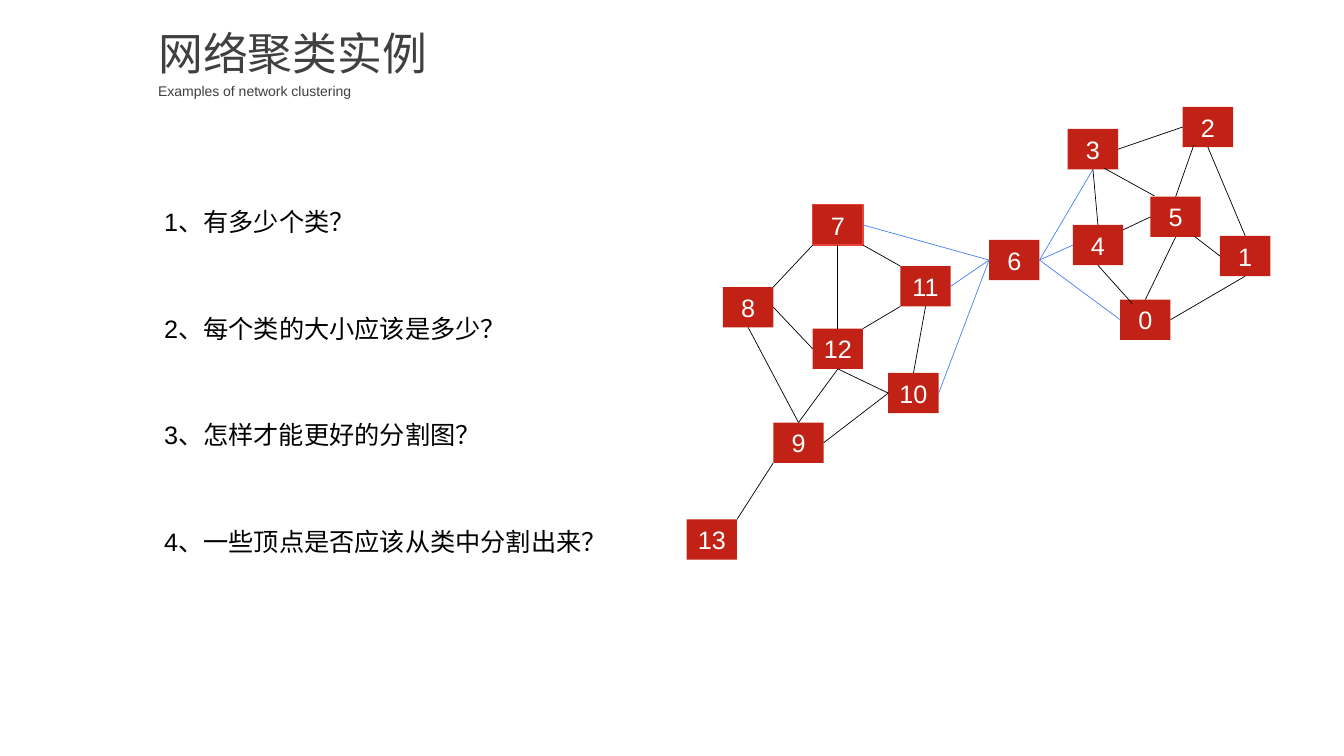
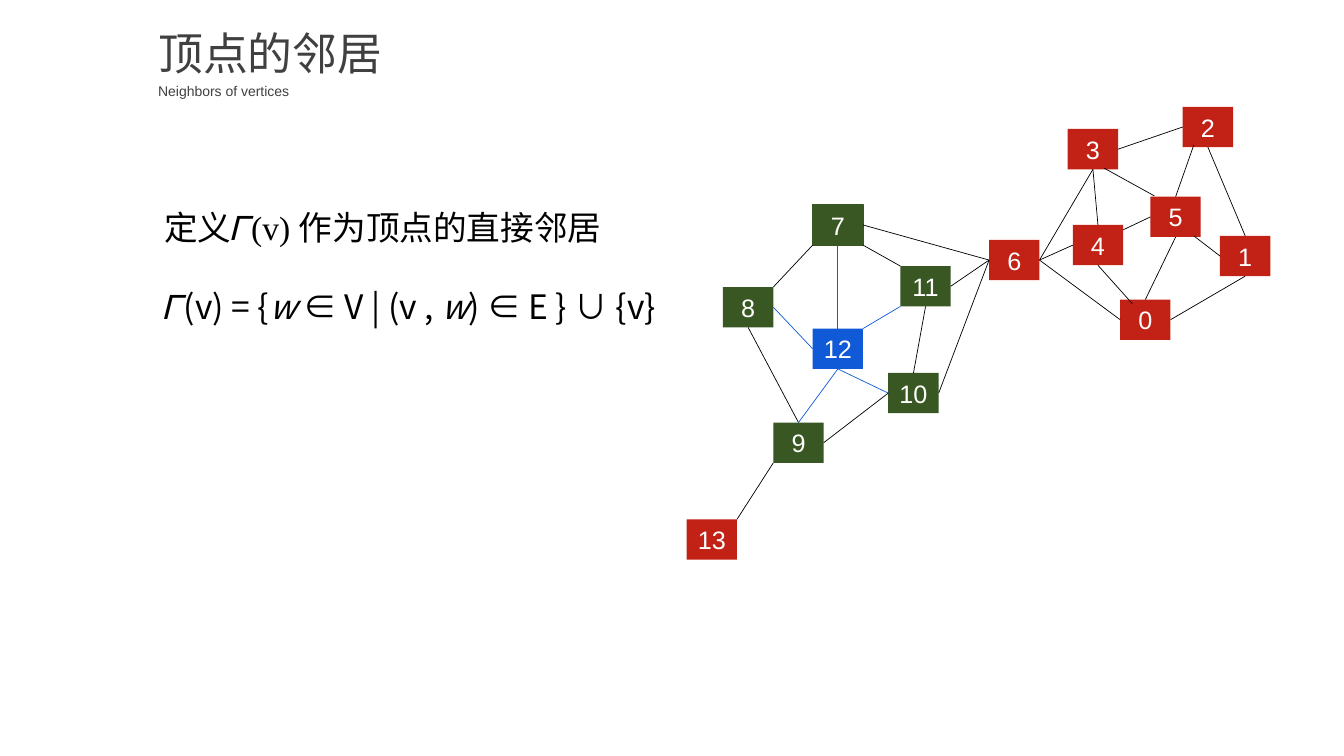
"""Build two slides on clustering the vertices of a small network."""
from dataclasses import dataclass, field
from typing import Any, NamedTuple

from lxml.etree import SubElement
from pptx import Presentation
from pptx.dml.color import RGBColor
from pptx.enum.shapes import MSO_CONNECTOR, MSO_SHAPE
from pptx.enum.text import MSO_ANCHOR as Anchor, MSO_AUTO_SIZE as AutoSize, PP_ALIGN as Align
from pptx.oxml.ns import qn
from pptx.util import Emu, Inches, Pt


@dataclass(frozen=True)
class Theme:
    heading: str = "404040"
    ink: str = "000000"
    paper: str = "FFFFFF"
    vertex: str = "C22115"
    outline: str = "E94236"
    bridge: str = "4384F1"
    centre: str = "105AD7"
    neighbour: str = "385723"
    font: str = "Arial"
    serif: str = "Times New Roman"
    chinese: str = "Noto Sans CJK SC"
    title_size: float = 32
    subtitle_size: float = 10
    body_size: float = 18
    formula_size: float = 24
    edge_width: float = 0.5
    outline_width: float = 1


class Box(NamedTuple):
    column: float
    row: float
    columns: float = 1
    rows: float = 1


class Port(NamedTuple):
    across: float
    down: float
    site: int | None = None


class Edge(NamedTuple):
    start: int
    start_port: Port
    end: int
    end_port: Port


class Run(NamedTuple):
    text: str
    font: str
    italic: bool | None = None


@dataclass(frozen=True)
class NetworkStyle:
    hub: int
    hub_fill: str
    edge_colour: str
    neighbour_fill: str
    outline: str
    fills: dict[int, str] = field(default_factory=dict)


THEME = Theme()
COLUMN, ROW = Inches(0.5), Inches(0.4)
TITLE = Box(2.94, 0.5, 7.04, 1.6)
SUBTITLE = Box(2.94, 1.83, 8.68, 0.72)
BODY_COLUMN, BODY_ROW, QUESTION_STEP = 3.06, 5, 2.64
OUTLINED_VERTEX = 7

TOP, LEFT = Port(0.5, 0, 0), Port(0, 0.5, 1)
BOTTOM, RIGHT = Port(0.5, 1, 2), Port(1, 0.5, 3)
TOP_LEFT, TOP_RIGHT = Port(0, 0), Port(1, 0)
BOTTOM_LEFT, BOTTOM_RIGHT = Port(0, 1), Port(1, 1)

VERTICES = {
    7: Box(16.12, 5.08), 8: Box(14.34, 7.12), 11: Box(17.86, 6.6),
    12: Box(16.12, 8.15), 9: Box(15.34, 10.48), 10: Box(17.62, 9.25),
    13: Box(13.62, 12.88), 6: Box(19.62, 5.95), 3: Box(21.18, 3.2),
    4: Box(21.28, 5.58), 0: Box(22.22, 7.43), 5: Box(22.82, 4.88),
    2: Box(23.46, 2.65), 1: Box(24.2, 5.85),
}
EDGES = [
    Edge(8, BOTTOM, 9, TOP),
    Edge(9, BOTTOM_LEFT, 13, TOP_RIGHT),
    Edge(7, BOTTOM, 12, TOP),
    Edge(7, BOTTOM_RIGHT, 11, TOP_LEFT),
    Edge(11, BOTTOM_LEFT, 12, TOP_RIGHT),
    Edge(11, BOTTOM, 10, TOP),
    Edge(12, LEFT, 8, RIGHT),
    Edge(7, BOTTOM_LEFT, 8, TOP_RIGHT),
    Edge(12, BOTTOM, 9, TOP),
    Edge(12, BOTTOM, 10, LEFT),
    Edge(9, RIGHT, 10, LEFT),
    Edge(7, RIGHT, 6, LEFT),
    Edge(11, RIGHT, 6, LEFT),
    Edge(10, RIGHT, 6, LEFT),
    Edge(3, BOTTOM, 6, RIGHT),
    Edge(4, LEFT, 6, RIGHT),
    Edge(6, RIGHT, 0, LEFT),
    Edge(3, BOTTOM, 4, TOP),
    Edge(3, RIGHT, 2, LEFT),
    Edge(2, BOTTOM, 1, TOP),
    Edge(4, BOTTOM, 0, Port(0.24, 0.1)),
    Edge(4, Port(1, 0.12), 5, LEFT),
    Edge(3, Port(0.72, 0.97), 5, Port(0.08, -0.02)),
    Edge(2, Port(0.22, 0.95), 5, TOP),
    Edge(5, BOTTOM, 0, TOP),
    Edge(0, RIGHT, 1, BOTTOM),
    Edge(5, Port(0.86, 0.97), 1, LEFT),
]
QUESTIONS = ["1、有多少个类？", "2、每个类的大小应该是多少？",
             "3、怎样才能更好的分割图？", "4、一些顶点是否应该从类中分割出来？"]
DEFINITION = [
    [Run("定义", THEME.font), Run("𝛤(v) ", THEME.serif), Run("作为顶点的直接邻居", THEME.chinese)],
    [Run("𝛤(v) = {", THEME.chinese), Run("w", THEME.chinese, True),
     Run(" ∈ V | (v , ", THEME.chinese, False), Run("w", THEME.chinese, True),
     Run(") ∈ E } ∪ {v}", THEME.chinese, False)],
]
BRIDGES = NetworkStyle(6, THEME.vertex, THEME.bridge, THEME.vertex, THEME.outline)
NEIGHBOURS = NetworkStyle(12, THEME.centre, THEME.centre, THEME.neighbour, THEME.neighbour)


def colour(code: str) -> RGBColor:
    return RGBColor.from_string(code)


def apply_format(target: Any, values: dict[str, Any]) -> None:
    for name, value in values.items():
        setattr(target, name, value)


def place(box: Box) -> dict[str, Emu]:
    return {"left": Emu(round(box.column * COLUMN)), "top": Emu(round(box.row * ROW)),
            "width": Emu(round(box.columns * COLUMN)), "height": Emu(round(box.rows * ROW))}


def port_point(vertex: int, port: Port) -> tuple[Emu, Emu]:
    box = VERTICES[vertex]
    return (Emu(round((box.column + port.across) * COLUMN)),
            Emu(round((box.row + port.down) * ROW)))


def write_run(paragraph: Any, run: Run, size: float, ink: str) -> None:
    text_run = paragraph.add_run()
    text_run.text = run.text
    apply_format(text_run.font, {"name": run.font, "size": Pt(size), "italic": run.italic})
    text_run.font.color.rgb = colour(ink)


def write_text(shape: Any, lines: list[list[Run]], size: float, ink: str,
               frame_format: dict[str, Any], **paragraph_format: Any) -> None:
    frame = shape.text_frame
    apply_format(frame, frame_format)
    for index, runs in enumerate(lines):
        paragraph = frame.paragraphs[0] if index == 0 else frame.add_paragraph()
        apply_format(paragraph, paragraph_format)
        if index:
            paragraph.space_before = Pt(28)
        for run in runs:
            write_run(paragraph, run, size, ink)


def growing(wrap: bool) -> dict[str, Any]:
    return {"word_wrap": wrap, "auto_size": AutoSize.SHAPE_TO_FIT_TEXT,
            "vertical_anchor": Anchor.TOP}


def add_text(slide: Any, box: Box, lines: list[list[Run]], size: float,
             ink: str, wrap: bool, **paragraph_format: Any) -> None:
    shape = slide.shapes.add_textbox(**place(box))
    write_text(shape, lines, size, ink, growing(wrap), **paragraph_format)


def add_headed_slide(presentation: Any, title: str, subtitle: str) -> Any:
    slide = presentation.slides.add_slide(presentation.slide_layouts[5])
    apply_format(slide.shapes.title, place(TITLE))
    write_text(slide.shapes.title, [[Run(title, THEME.font)]], THEME.title_size,
               THEME.heading, growing(True), alignment=Align.LEFT)
    add_text(slide, SUBTITLE, [[Run(subtitle, THEME.font)]], THEME.subtitle_size,
             THEME.heading, True, line_spacing=1.2)
    return slide


def add_vertex(slide: Any, number: int, fill: str, outline: str) -> Any:
    shape = slide.shapes.add_shape(MSO_SHAPE.RECTANGLE, **place(VERTICES[number]))
    shape.shadow.inherit = False
    shape.fill.solid()
    shape.fill.fore_color.rgb = colour(fill)
    if number == OUTLINED_VERTEX:
        shape.line.color.rgb = colour(outline)
        shape.line.width = Pt(THEME.outline_width)
    else:
        shape.line.fill.background()
    write_text(shape, [[Run(str(number), THEME.font)]], THEME.body_size, THEME.paper,
               {"vertical_anchor": Anchor.MIDDLE}, alignment=Align.CENTER)
    return shape


def add_edge(slide: Any, edge: Edge, shapes: dict[int, Any], ink: str) -> None:
    connector = slide.shapes.add_connector(
        MSO_CONNECTOR.STRAIGHT, *port_point(edge.start, edge.start_port),
        *port_point(edge.end, edge.end_port))
    if edge.start_port.site is not None:
        connector.begin_connect(shapes[edge.start], edge.start_port.site)
    if edge.end_port.site is not None:
        connector.end_connect(shapes[edge.end], edge.end_port.site)
    connector.line.color.rgb = colour(ink)
    connector.line.width = Pt(THEME.edge_width)
    SubElement(connector.element.spPr, qn("a:effectLst"))


def add_network(slide: Any, style: NetworkStyle) -> None:
    hub_edges = [edge for edge in EDGES if style.hub in (edge.start, edge.end)]
    fills = {vertex: style.neighbour_fill for edge in hub_edges
             for vertex in (edge.start, edge.end)} | {style.hub: style.hub_fill}
    shapes = {number: add_vertex(slide, number, fills.get(number, THEME.vertex), style.outline)
              for number in VERTICES}
    for edge in EDGES:
        add_edge(slide, edge, shapes, style.edge_colour if edge in hub_edges else THEME.ink)


def add_questions(slide: Any) -> None:
    for index, question in enumerate(QUESTIONS):
        box = Box(BODY_COLUMN, BODY_ROW + index * QUESTION_STEP, 0.5 * len(question) + 0.22)
        add_text(slide, box, [[Run(question, THEME.font)]], THEME.body_size, THEME.ink, False)


def build() -> None:
    presentation = Presentation()
    apply_format(presentation, {"slide_width": Inches(13.33), "slide_height": Inches(7.5)})
    examples = add_headed_slide(presentation, "网络聚类实例", "Examples of network clustering")
    add_questions(examples)
    add_network(examples, BRIDGES)
    neighbours = add_headed_slide(presentation, "顶点的邻居", "Neighbors of vertices")
    add_text(neighbours, Box(BODY_COLUMN, BODY_ROW, 11.02, 3.28), DEFINITION,
             THEME.formula_size, THEME.ink, False)
    add_network(neighbours, NEIGHBOURS)
    presentation.save("out.pptx")


build()
